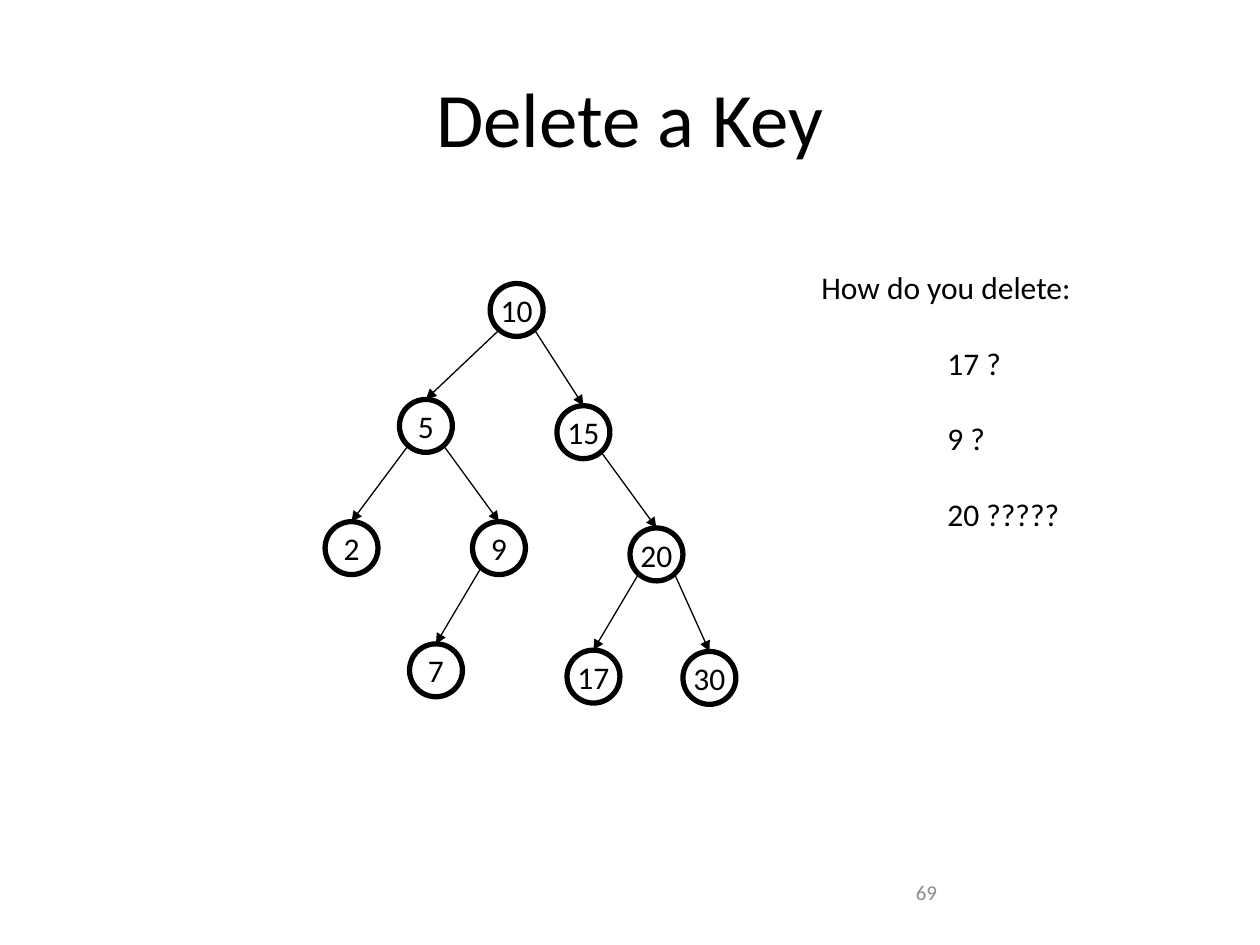
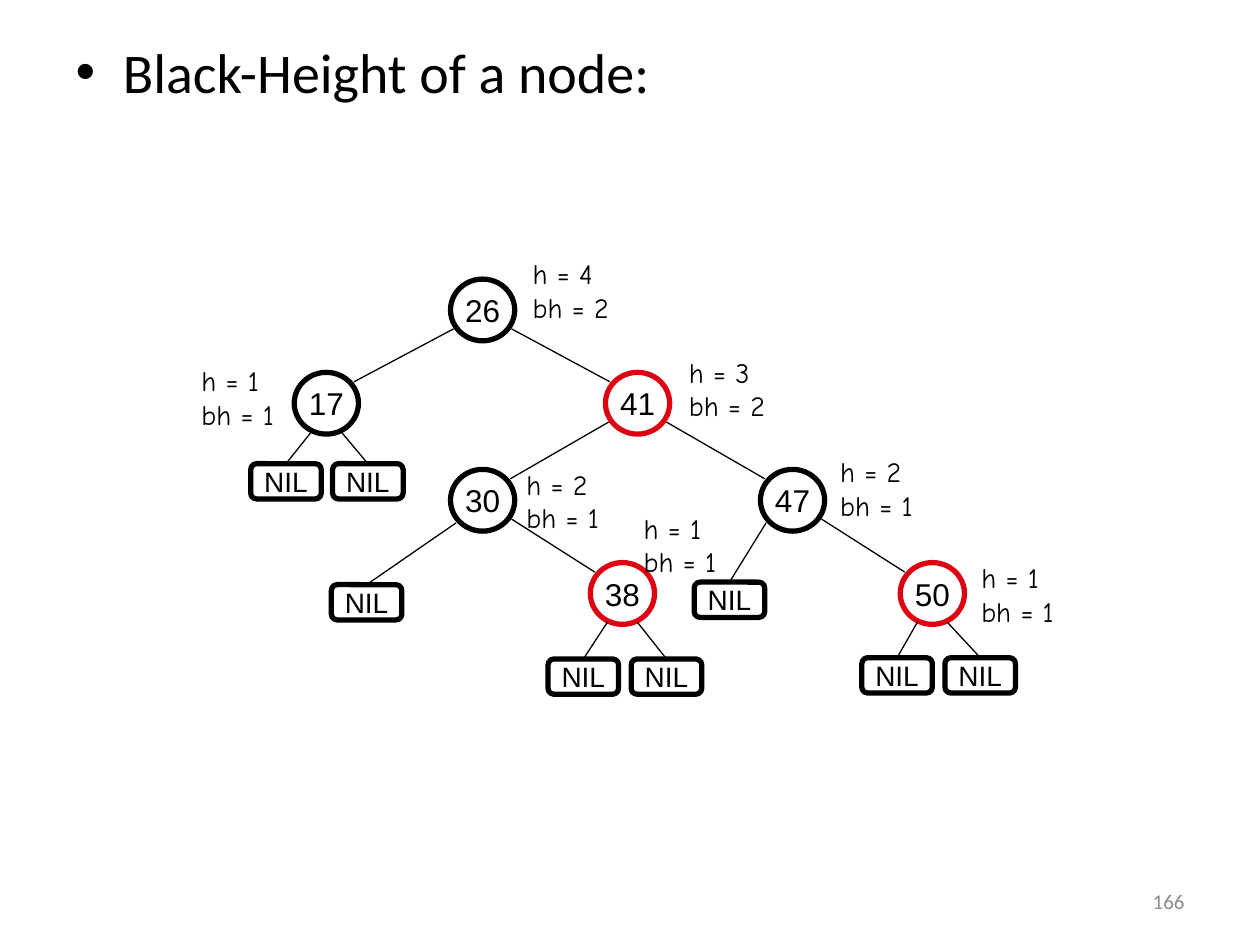
from dataclasses import dataclass

from lxml import etree
from pptx import Presentation
from pptx.dml.color import RGBColor
from pptx.enum.shapes import MSO_CONNECTOR, MSO_SHAPE
from pptx.enum.text import MSO_ANCHOR, PP_ALIGN
from pptx.oxml.ns import qn
from pptx.util import Inches, Pt

LINE = MSO_CONNECTOR.STRAIGHT
OVAL, ROUND = MSO_SHAPE.OVAL, MSO_SHAPE.ROUNDED_RECTANGLE
MIDDLE, TOP = MSO_ANCHOR.MIDDLE, MSO_ANCHOR.TOP
LEFT, CENTER, RIGHT = PP_ALIGN.LEFT, PP_ALIGN.CENTER, PP_ALIGN.RIGHT
TITLE_ONLY, TITLE_BODY = 5, 1
TOP_SIDE = 0


@dataclass(frozen=True)
class Theme:
    black: RGBColor = RGBColor(0, 0, 0)
    red: RGBColor = RGBColor(0xDD, 0x01, 0x11)
    gray: RGBColor = RGBColor(0x8C, 0x8C, 0x8C)
    main: str = "Calibri"
    node: str = "Arial"
    note: str = "Comic Neue"
    title: int = 44
    list: int = 32
    text: int = 18
    small: int = 16
    foot: int = 12
    ring: float = 3
    edge: float = 0.75


THEME = Theme()

# Search tree: key -> centre, and parent -> (side, child) links
KEYS = {
    "10": (4.1, 2.46), "5": (3.38, 3.38), "15": (4.63, 3.43),
    "2": (2.79, 4.35), "9": (3.96, 4.35), "20": (5.21, 4.4),
    "7": (3.46, 5.32), "17": (4.71, 5.37), "30": (5.63, 5.38),
}
ARROWS = [("10", -1, "5"), ("10", 1, "15"), ("5", -1, "2"), ("5", 1, "9"),
          ("15", 1, "20"), ("9", -1, "7"), ("20", -1, "17"), ("20", 1, "30")]

# Red-black tree: key -> centre, ring colour, label corner, h, bh
NODES = {
    "26": (3.83, 2.46, THEME.black, 4.13, 1.99, 4, 2),
    "17": (2.59, 3.2, THEME.black, 1.5, 2.84, 1, 1),
    "41": (5.06, 3.2, THEME.red, 5.37, 2.77, 3, 2),
    "30": (3.83, 3.97, THEME.black, 4.08, 3.66, 2, 1),
    "47": (6.29, 3.97, THEME.black, 6.57, 3.56, 2, 1),
    "38": (4.94, 4.71, THEME.red, 5.01, 4.01, 1, 1),
    "50": (7.4, 4.71, THEME.red, 7.69, 4.4, 1, 1),
}
EDGES = [("26", -1, "17"), ("26", 1, "41"), ("41", -1, "30"),
         ("41", 1, "47"), ("30", 1, "38"), ("47", 1, "50")]
# Parent, side, left and top of each leaf, and where its line starts
PAIR, LONE = (0.12, 0.23), (0.21, 0.18)
LEAVES = [
    ("17", -1, 1.99, 3.68, PAIR), ("17", 1, 2.64, 3.68, PAIR),
    ("38", -1, 4.35, 5.23, PAIR), ("38", 1, 5.01, 5.23, PAIR),
    ("50", -1, 6.84, 5.22, PAIR), ("50", 1, 7.5, 5.22, PAIR),
    ("30", -1, 2.63, 4.64, LONE), ("47", -1, 5.51, 4.62, LONE),
]


def assign(target, values):
    for name, value in values.items():
        setattr(target, name, value)


def style(para, size, face=THEME.main, color=THEME.black, align=LEFT):
    para.alignment = align
    assign(para.font, {"size": Pt(size), "name": face})
    para.font.color.rgb = color


def place(shape, left, top, width, height):
    assign(shape, {"left": Inches(left), "top": Inches(top),
                   "width": Inches(width), "height": Inches(height)})


def write(slide, lines, box, size, anchor=TOP, **look):
    """Add a text box with one paragraph per line."""
    frame = slide.shapes.add_textbox(*map(Inches, box)).text_frame
    assign(frame, {"word_wrap": True, "vertical_anchor": anchor,
                   "text": "\n".join(lines)})
    for para in frame.paragraphs:
        style(para, size, **look)
    return frame


def node(slide, kind, text, box, size, face, color=THEME.black):
    """Add an outlined tree node."""
    shape = slide.shapes.add_shape(kind, *map(Inches, box))
    shape.shadow.inherit = False
    shape.fill.background()
    shape.line.color.rgb = color
    shape.line.width = Pt(THEME.ring)
    frame = shape.text_frame
    assign(frame, {"word_wrap": False, "vertical_anchor": MIDDLE,
                   "margin_top": 0, "margin_bottom": 0, "text": text})
    style(frame.paragraphs[0], size, face, align=CENTER)
    return shape


def circle(slide, text, x, y, width, height, face, color=THEME.black):
    box = (x - width / 2, y - height / 2, width, height)
    return node(slide, OVAL, text, box, THEME.text, face, color)


def link(slide, start, end, child=None, arrow=False):
    """Draw a line, joined to the top of a child when one is given."""
    line = slide.shapes.add_connector(LINE, *map(Inches, start + end))
    if child is not None:
        line.end_connect(child, TOP_SIDE)
    line.line.color.rgb = THEME.black
    line.line.width = Pt(THEME.edge)
    props = line._element.spPr
    if arrow:
        etree.SubElement(props.find(qn("a:ln")), qn("a:tailEnd"),
                         type="triangle")
    etree.SubElement(props, qn("a:effectLst"))


def footer(slide, number, box, align):
    write(slide, [number], box, THEME.foot, MIDDLE,
          color=THEME.gray, align=align)


def delete_slide(deck):
    slide = deck.slides.add_slide(deck.slide_layouts[TITLE_ONLY])
    title = slide.shapes.title
    place(title, 0.5, 0.3, 9, 1.25)
    title.text_frame.text = "Delete a Key"
    style(title.text_frame.paragraphs[0], THEME.title, align=CENTER)

    # Tree
    rings = {key: circle(slide, key, x, y, 0.42, 0.42, THEME.main)
             for key, (x, y) in KEYS.items()}
    for parent, side, child in ARROWS:
        x, y = KEYS[parent]
        link(slide, (x + side * 0.15, y + 0.17), KEYS[child],
             rings[child], arrow=True)

    # Questions
    lines = ["How do you delete:", "17 ?", "9 ?", "20 ?????"]
    frame = write(slide, lines, (6.42, 2.08, 2.82, 2.9), THEME.text)
    for para in frame.paragraphs[1:]:
        para.space_before = Pt(21.6)
        para._p.get_or_add_pPr().set("marL", str(Inches(1)))
    footer(slide, "69", (7.17, 6.83, 2.08, 0.5), LEFT)


def height_slide(deck):
    slide = deck.slides.add_slide(deck.slide_layouts[TITLE_BODY])
    title = slide.shapes.title._element
    title.getparent().remove(title)
    body = slide.placeholders[1]
    place(body, 0.5, 0.25, 9, 6.58)
    body.text_frame.text = "Black-Height of a node:"
    para = body.text_frame.paragraphs[0]
    para.space_before = Pt(0)
    style(para, THEME.list)

    # Inner nodes with their heights
    for key, (x, y, color, left, top, high, black) in NODES.items():
        circle(slide, key, x, y, 0.51, 0.49, THEME.node, color)
        write(slide, [f"h = {high}", f"bh = {black}"],
              (left, top, 0.9, 0.64), THEME.small, face=THEME.note)
    for parent, side, child in EDGES:
        (x, y), (end_x, end_y) = NODES[parent][:2], NODES[child][:2]
        link(slide, (x + side * 0.23, y + 0.15),
             (end_x - side * 0.22, end_y - 0.17))

    # Leaves
    for parent, side, left, top, (across, down) in LEAVES:
        leaf = node(slide, ROUND, "NIL", (left, top, 0.56, 0.28),
                    THEME.small, THEME.node)
        x, y = NODES[parent][:2]
        link(slide, (x + side * across, y + down), (left + 0.28, top), leaf)
    footer(slide, "166", (7.17, 6.95, 2.33, 0.4), RIGHT)


def main():
    deck = Presentation()
    assign(deck, {"slide_width": Inches(10), "slide_height": Inches(7.5)})
    delete_slide(deck)
    height_slide(deck)
    deck.save("out.pptx")


if __name__ == "__main__":
    main()
